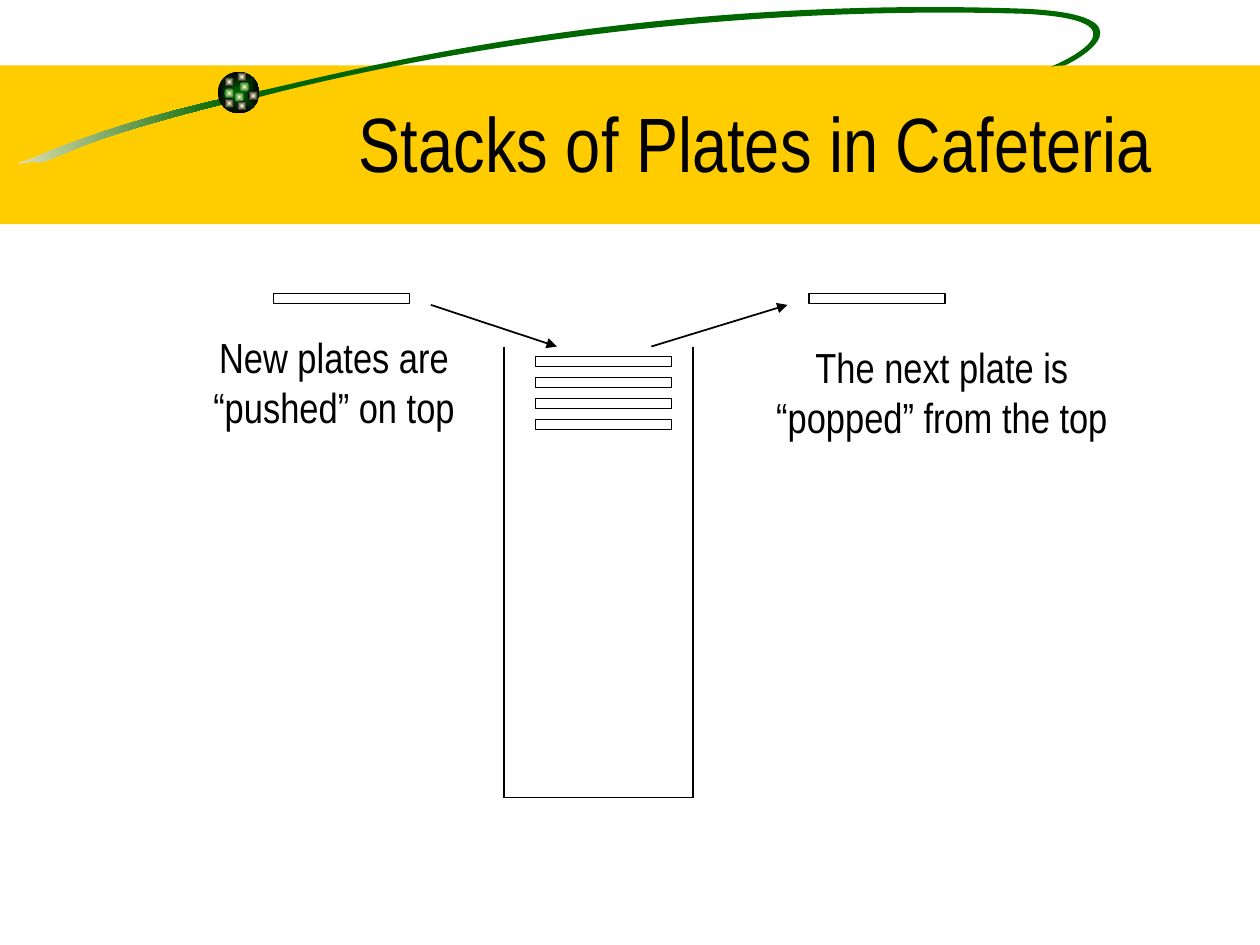
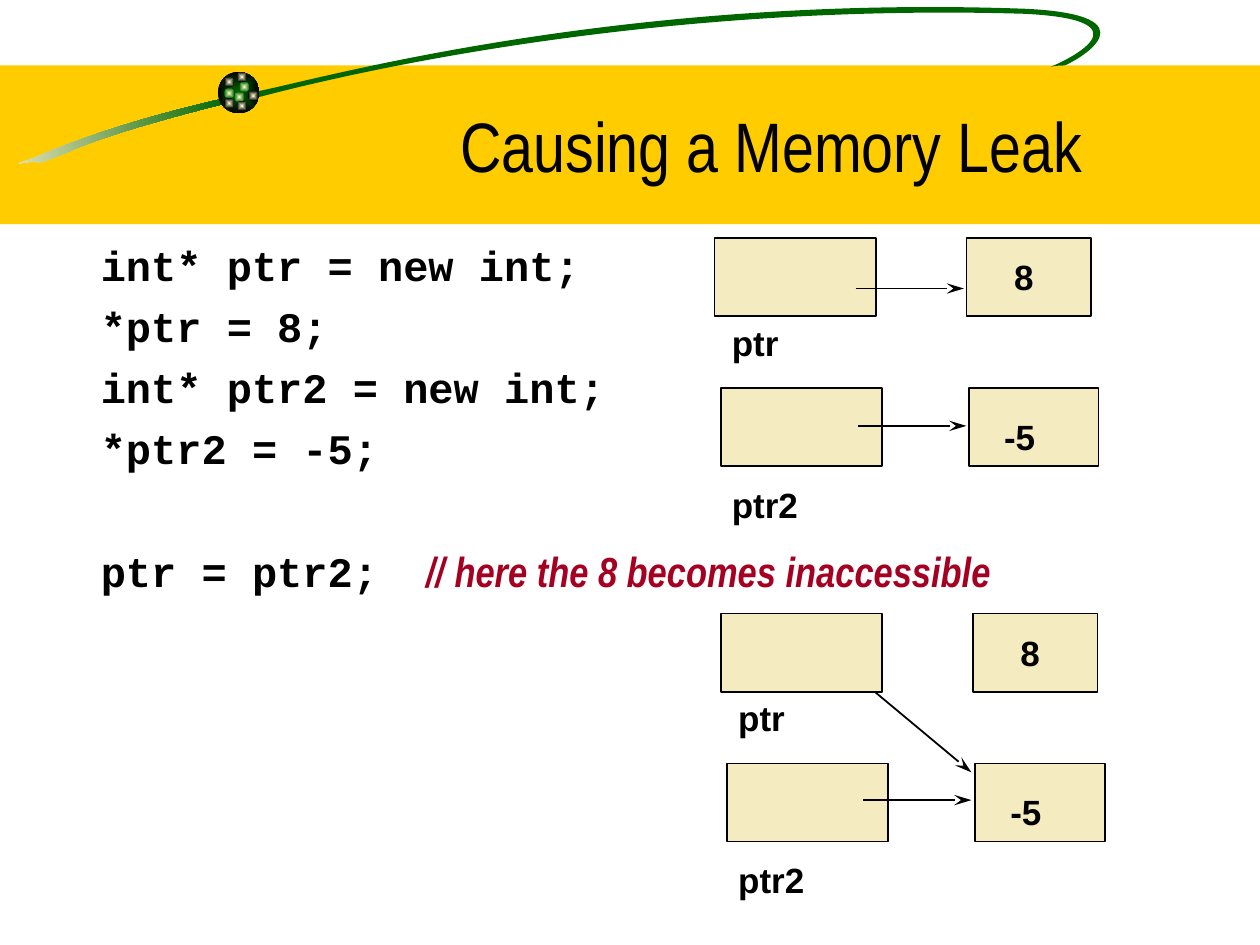
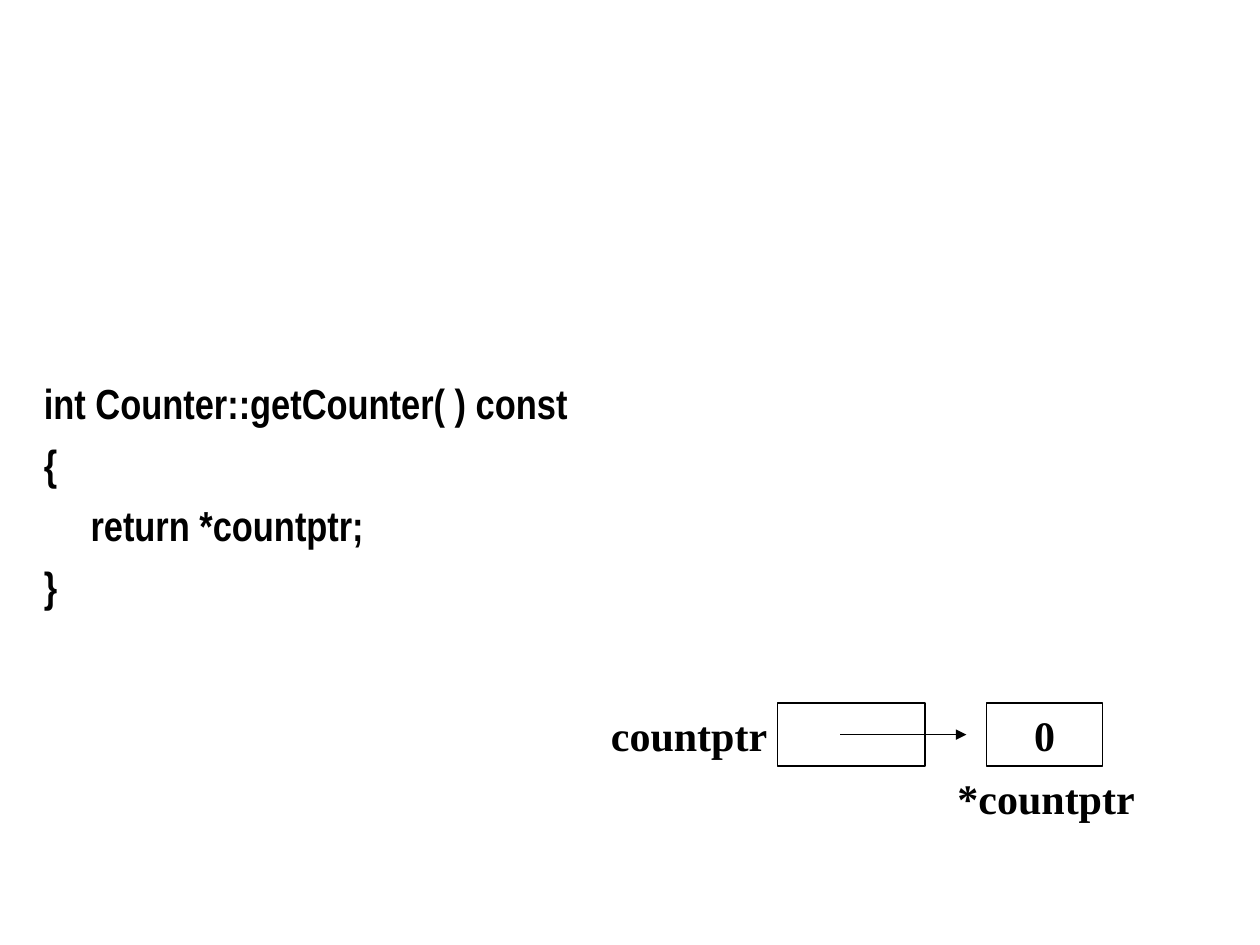
from math import cos, radians, sin

from lxml import etree
from pptx import Presentation
from pptx.dml.color import RGBColor
from pptx.enum.shapes import MSO_CONNECTOR, MSO_SHAPE
from pptx.enum.text import MSO_ANCHOR, PP_ALIGN
from pptx.oxml import parse_xml
from pptx.oxml.ns import nsdecls, qn
from pptx.util import Inches, Pt

TOP, MIDDLE, BOTTOM = MSO_ANCHOR.TOP, MSO_ANCHOR.MIDDLE, MSO_ANCHOR.BOTTOM
LEFT, CENTER = PP_ALIGN.LEFT, PP_ALIGN.CENTER
RECTANGLE, OVAL = MSO_SHAPE.RECTANGLE, MSO_SHAPE.OVAL
STRAIGHT = MSO_CONNECTOR.STRAIGHT
color = RGBColor.from_string

BLACK, WHITE, GOLD, GREEN = "000000", "FFFFFF", "FFCC00", "006600"
CREAM, PALE, RED = "F5EBC1", "FFFFCC", "A50021"
NARROW, CODE, SANS, SERIF = "Arial Narrow", "Courier New", "Arial", "Times New Roman"
LINE_WIDTH = Pt(0.99)


def add_box(slide, at, fill=None, kind=RECTANGLE, outlined=True):
    """Add a preset shape; fill is a hex colour, a (centre, edge) pair or None."""
    shape = slide.shapes.add_shape(kind, *map(Inches, at))
    shape.shadow.inherit = False
    if fill is None:
        shape.fill.background()
    elif isinstance(fill, tuple):
        shape.fill.gradient()
        for stop, value in zip(shape.fill.gradient_stops, fill):
            stop.color.rgb = color(value)
        gradient = shape._element.spPr.find(qn("a:gradFill"))
        gradient.replace(gradient.find(qn("a:lin")), parse_xml(
            f'<a:path {nsdecls("a")} path="rect">'
            '<a:fillToRect l="50000" t="50000" r="50000" b="50000"/></a:path>'))
    else:
        shape.fill.solid()
        shape.fill.fore_color.rgb = color(fill)
    if outlined:
        shape.line.color.rgb = color(BLACK)
        shape.line.width = LINE_WIDTH
    else:
        shape.line.fill.background()
    return shape


def write_text(shape, lines, size, font, bold=False, align=LEFT, anchor=TOP, before=0):
    """Write one paragraph for each line and return the paragraphs."""
    frame = shape.text_frame
    frame.word_wrap = True
    frame.vertical_anchor = anchor
    for index, line in enumerate(lines):
        paragraph = frame.add_paragraph() if index else frame.paragraphs[0]
        paragraph.alignment = align
        paragraph.space_before = Pt(before)
        run = paragraph.add_run()
        run.text = line
        run.font.size = Pt(size)
        run.font.name = font
        run.font.bold = bold
        run.font.color.rgb = color(BLACK)
    return frame.paragraphs


presentation = Presentation()
presentation.slide_width, presentation.slide_height = Inches(10), Inches(7.5)
blank = presentation.slide_layouts[6]
plates, leak, counter = [presentation.slides.add_slide(blank) for _ in range(3)]

# Shared header: gold band, green swoosh, ball with lights, pale side panel, title
# A swoosh part: centre of its frame, then a start point and cubic curves
TILT = 351.5
swoosh_tail = ((0.89, 1.06), [
    (1.78, 0.78),
    (0.91, 0.98), (0.49, 1.16), (0.25, 1.26),
    (0.01, 1.34), (0.26, 1.26), (0.31, 1.29),
    (0.57, 1.22), (0.57, 1.13), (1.79, 0.82),
    (1.79, 0.82), (1.78, 0.78), (1.78, 0.78)])
swoosh_loop = ((5.59, 0.395), [
    (2.02, 0.73),
    (2.46, 0.65), (4.86, -0.05), (8.14, 0.07),
    (9.17, 0.12), (8.57, 0.47), (8.45, 0.52),
    (8.45, 0.52), (8.38, 0.52), (8.34, 0.53),
    (8.44, 0.49), (9.16, 0.16), (8.13, 0.11),
    (5.48, 0.03), (3.2, 0.47), (2.06, 0.77),
    (2.06, 0.77), (2.02, 0.73), (2.02, 0.73)])
lights = [(1.9, 0.65, GREEN), (1.78, 0.61, BLACK), (1.78, 0.7, GREEN), (1.86, 0.73, GREEN),
          (1.97, 0.72, BLACK), (1.88, 0.8, BLACK), (1.78, 0.78, BLACK), (1.88, 0.57, BLACK)]
headers = [(plates, "Stacks of Plates in Cafeteria", 44, (1.75, 0.5, 8.5, 1.25), MIDDLE),
           (leak, "Causing a Memory Leak", 40, (1.83, 0.4, 8.58, 1.13), BOTTOM)]
turn = radians(360 - TILT)
for slide, title, size, at, anchor in headers:
    add_box(slide, (0, 0.52, 10, 1.26), GOLD, outlined=False)
    for (middle_x, middle_y), points in (swoosh_tail, swoosh_loop):
        # Lay the outline level, since the shape itself is tilted
        level = [(Inches(middle_x + (x - middle_x) * cos(turn) - (y - middle_y) * sin(turn)),
                  Inches(middle_y + (x - middle_x) * sin(turn) + (y - middle_y) * cos(turn)))
                 for x, y in points]
        builder = slide.shapes.build_freeform(*level[0])
        builder.add_line_segments(level[1:], close=True)
        swoosh = builder.convert_to_shape()
        # Join each three points into one cubic curve
        segments = list(swoosh._element.iter(qn("a:lnTo")))
        for first in range(0, len(segments), 3):
            curve = etree.Element(qn("a:cubicBezTo"))
            segments[first].addprevious(curve)
            for segment in segments[first:first + 3]:
                curve.append(segment[0])
                segment.getparent().remove(segment)
        swoosh.rotation = TILT
        swoosh.shadow.inherit = False
        swoosh.line.fill.background()
        if points is swoosh_tail[1]:
            swoosh.fill.gradient()
            swoosh.fill.gradient_angle = 0
            for stop, value in zip(swoosh.fill.gradient_stops, (CREAM, GREEN)):
                stop.color.rgb = color(value)
        else:
            swoosh.fill.solid()
            swoosh.fill.fore_color.rgb = color(GREEN)
    add_box(slide, (1.73, 0.57, 0.33, 0.33), (GREEN, BLACK), OVAL, outlined=False)
    for left, top, edge in lights:
        add_box(slide, (left, top, 0.08, 0.08), (PALE, edge), OVAL, outlined=False)
    panel = add_box(slide, (0.74, 2.06, 1.22, 5.44), WHITE, outlined=False)
    panel._element.spPr.find(qn("a:solidFill"))[0].append(
        parse_xml(f'<a:alpha {nsdecls("a")} val="50000"/>'))
    write_text(slide.shapes.add_textbox(*map(Inches, at)), [title], size, NARROW,
               align=CENTER, anchor=anchor)

# Slide 1: plates in the stack, one coming and one going
stacked = [(4.25, 2.83 + row / 6) for row in range(4)]
for left, top in stacked + [(2.17, 2.33), (6.42, 2.33)]:
    add_box(plates, (left, top, 1.08, 0.08))
captions = [((1.59, 2.58, 2.12, 0.9), ["New plates are", "“pushed” on top"]),
            ((6.06, 2.66, 2.83, 0.9), ["The next plate is", "“popped” from the top"])]
for at, lines in captions:
    caption = plates.shapes.add_textbox(*map(Inches, at))
    write_text(caption, lines, 24, NARROW, align=CENTER, anchor=BOTTOM)
    caption.text_frame.word_wrap = False

# Slide 2: code with a comment after a tab
code = leak.shapes.add_textbox(Inches(0.5), Inches(1.85), Inches(8.6), Inches(4.27))
code.text_frame.margin_left = Inches(0.3)
statements = ["int* ptr = new int;", "*ptr = 8;", "int* ptr2 = new int;", "*ptr2 = -5;",
              "ptr = ptr2;\t"]
last = write_text(code, statements, 24, CODE, bold=True, before=6)[-1]
last.space_before = Pt(41.5)
last._p.get_or_add_pPr().append(parse_xml(
    f'<a:tabLst {nsdecls("a")}><a:tab pos="{Inches(2.58)}" algn="l"/></a:tabLst>'))
comment = last.add_run()
comment.text = "// here the 8 becomes inaccessible"
comment.font.size = Pt(24)
comment.font.name = NARROW
comment.font.bold = comment.font.italic = True
comment.font.color.rgb = color(RED)

# Slide 2: memory before and after the assignment
memory_cells = [(5.67, 1.89, 1.28), (5.72, 3.08, 1.28), (7.67, 1.89, 0.99), (7.69, 3.08, 1.03)]
memory_labels = ["8", "ptr", "-5", "ptr2"]
label_layout = [(2.32, 0), (0.08, 13.5), (2.24, 29.5), (0.08, 15)]  # indent, space before
for right, down in ((0, 0), (0.05, 2.98)):
    for left, top, width in memory_cells:
        add_box(leak, (left + right, top + down, width, 0.62), CREAM)
    at = (5.63 + right, 1.42 + down, 3.75, 3.1)
    labels = leak.shapes.add_textbox(*map(Inches, at))
    labels.text_frame.margin_top = Inches(0.61)
    paragraphs = write_text(labels, memory_labels, 20, SANS, bold=True)
    for paragraph, (indent, before) in zip(paragraphs, label_layout):
        paragraph.space_before = Pt(before)
        paragraph._p.get_or_add_pPr().set("marL", str(Inches(indent)))

# Slide 3: code, pointer and counter
code = counter.shapes.add_textbox(Inches(0.25), Inches(1.67), Inches(9.49), Inches(4.5))
statements = ["int Counter::getCounter( ) const", "{", "return *countptr;", "}"]
paragraphs = write_text(code, statements, 24, NARROW, bold=True, anchor=MIDDLE, before=6)
paragraphs[2]._p.get_or_add_pPr().set("marL", str(Inches(0.37)))
add_box(counter, (6.17, 5.58, 1.17, 0.5), WHITE)
value = add_box(counter, (7.83, 5.58, 0.92, 0.5), WHITE)
write_text(value, ["0"], 24, SERIF, bold=True, align=CENTER, anchor=MIDDLE)
for label, left, top, width in (("countptr", 4.75, 5.58, 1.78), ("*countptr", 7.5, 6.08, 1.65)):
    at = (left, top, width, 0.5)
    write_text(counter.shapes.add_textbox(*map(Inches, at)), [label], 24, SERIF, bold=True)

# Lines and arrows of all slides: slide, from, to, arrowhead, behind the boxes
lines = [(plates, (4, 2.75), (4, 6.33), None, False),
         (plates, (5.5, 2.75), (5.5, 6.33), None, False),
         (plates, (4, 6.33), (5.5, 6.33), None, False),
         (plates, (3.42, 2.42), (4.42, 2.75), "triangle", False),
         (plates, (5.17, 2.75), (6.25, 2.42), "triangle", False),
         (leak, (6.79, 2.29), (7.65, 2.29), "stealth", False),
         (leak, (6.81, 3.38), (7.67, 3.38), "stealth", False),
         (leak, (6.81, 5.38), (7.71, 6.13), "stealth", True),
         (leak, (6.85, 6.35), (7.71, 6.35), "stealth", False),
         (counter, (6.67, 5.83), (7.67, 5.83), "triangle", False)]
for slide, start, end, head, behind in lines:
    connector = slide.shapes.add_connector(STRAIGHT, *map(Inches, start + end))
    connector.line.color.rgb = color(BLACK)
    connector.line.width = LINE_WIDTH
    if head:
        length = "lg" if head == "stealth" else "med"
        connector.line._get_or_add_ln().append(
            parse_xml(f'<a:tailEnd {nsdecls("a")} type="{head}" len="{length}"/>'))
    connector._element.spPr.append(parse_xml(f'<a:effectLst {nsdecls("a")}/>'))
    if behind:
        slide.shapes[0]._element.addprevious(connector._element)

presentation.save("out.pptx")
